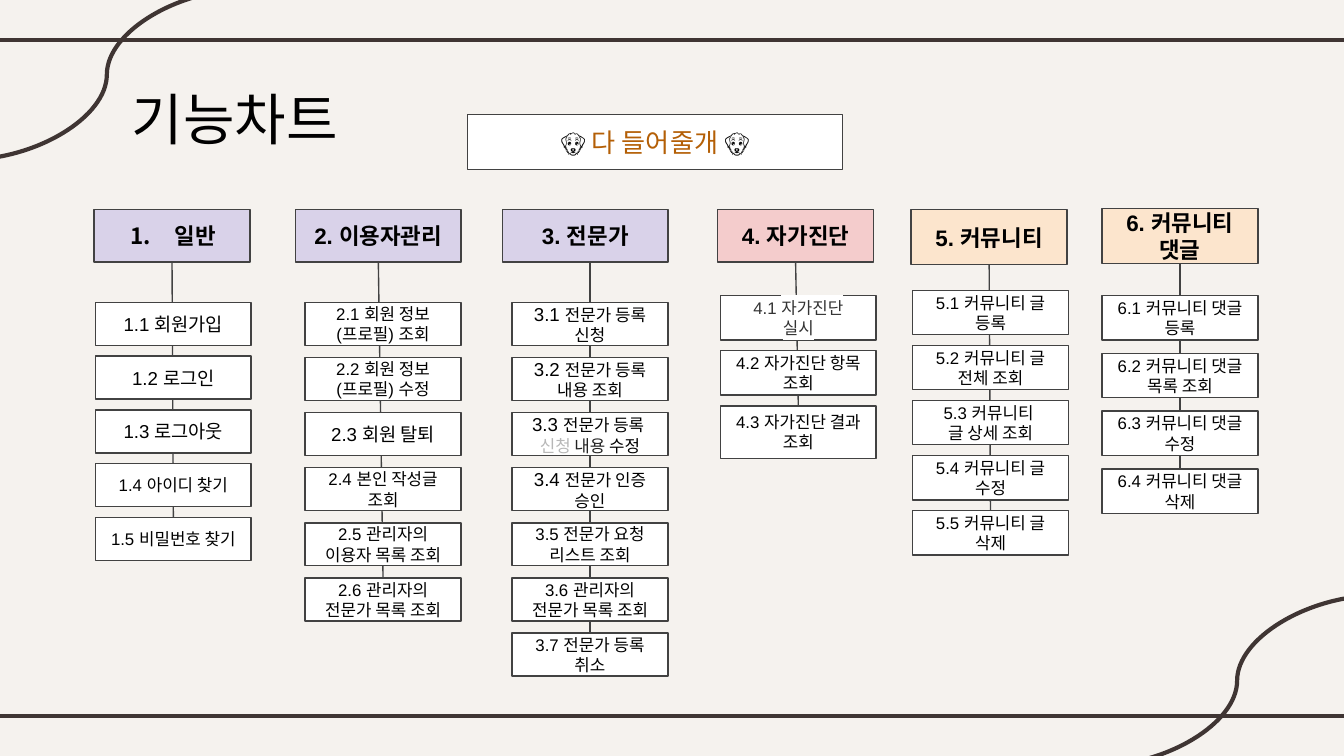
"""Builds the feature chart slide of the service."""
from dataclasses import dataclass

from lxml import etree
from pptx import Presentation
from pptx.dml.color import RGBColor
from pptx.enum.shapes import MSO_CONNECTOR, MSO_SHAPE
from pptx.enum.text import MSO_ANCHOR, PP_ALIGN
from pptx.oxml.ns import qn
from pptx.util import Inches, Pt

STRAIGHT, CURVE = MSO_CONNECTOR.STRAIGHT, MSO_CONNECTOR.CURVE
RECTANGLE = MSO_SHAPE.RECTANGLE
TOP, MIDDLE = MSO_ANCHOR.TOP, MSO_ANCHOR.MIDDLE
CENTER, LEFT = PP_ALIGN.CENTER, PP_ALIGN.LEFT

PAPER, WHITE, BLACK = "F5F2EE", "FFFFFF", "000000"
FRAME, OUTLINE = "3F3533", "424242"
LILAC, PINK, PEACH = "D9D2E9", "F4CCCC", "FCE5CD"
SLIDE_WIDTH = 10
SLIDE_HEIGHT = SLIDE_WIDTH * 9 / 16
BOX_WIDTH = 1.16


@dataclass
class Branch:
    """One heading with the features listed below it."""
    heading: str
    color: str
    heading_box: tuple
    left: float
    top: float
    pitch: float
    features: list
    height: float = 0.32
    last_height: float = 0
    straight_stem: bool = False
    numbered: bool = False


def large(text):
    """Return a one-run label in the larger size."""
    return [[(text, {"size": 10})]]


def led(number, text):
    """Return a label whose number is larger than its text."""
    return [[(number + " ", {"size": 10}), (text, {})]]


BRANCHES = [
    Branch("일반", LILAC, (0.7, 1.56, 1.16, 0.39), 0.71, 2.25, 0.4, [
        large("1.1 회원가입"), large("1.2 로그인"), large("1.3 로그아웃"),
        "1.4 아이디 찾기", "1.5 비밀번호 찾기"], numbered=True),
    Branch("2. 이용자관리", LILAC, (2.2, 1.56, 1.23, 0.39), 2.27, 2.25, 0.41, [
        "2.1 회원 정보 (프로필) 조회", "2.2 회원 정보 (프로필) 수정",
        large("2.3 회원 탈퇴"), "2.4 본인 작성글 조회",
        "2.5 관리자의 이용자 목록 조회", "2.6 관리자의 전문가 목록 조회"]),
    Branch("3. 전문가", LILAC, (3.74, 1.56, 1.23, 0.39), 3.81, 2.25, 0.41, [
        led("3.1", "전문가 등록 신청"), led("3.2", "전문가 등록 내용 조회"),
        led("3.3", "전문가 등록 ") + [[("신청 ", {"color": "B7B7B7"}),
                                  ("내용 ", {"color": "222222"}), ("수정", {})]],
        led("3.4", "전문가 인증 승인"), "3.5 전문가 요청 리스트 조회",
        "3.6 관리자의 전문가 목록 조회", "3.7 전문가 등록 취소"],
        straight_stem=True),
    Branch("4. 자가진단", PINK, (5.34, 1.56, 1.16, 0.39), 5.36, 2.2, 0.41, [
        [[(line, {"color": "333333", "highlight": WHITE})]
         for line in ("4.1 자가진단", "실시")],
        "4.2 자가진단 항목 조회", "4.3 자가진단 결과 조회"],
        height=0.33, last_height=0.39),
    Branch("5. 커뮤니티", PEACH, (6.78, 1.56, 1.16, 0.41), 6.79, 2.16, 0.41, [
        "5.1 커뮤니티 글 등록", "5.2 커뮤니티 글 전체 조회",
        [[("5.3 커뮤니티 ", {}), ("\v", {}), ("글 상세 조회", {})]],
        "5.4 커뮤니티 글 수정", "5.5 커뮤니티 글 삭제"], height=0.33),
    Branch("6. 커뮤니티 댓글", PEACH, (8.2, 1.55, 1.16, 0.41), 8.2, 2.2, 0.43, [
        "6.1 커뮤니티 댓글 등록", "6.2 커뮤니티 댓글 목록 조회",
        "6.3 커뮤니티 댓글 수정", "6.4 커뮤니티 댓글 삭제"], height=0.33),
]


def rgb(value):
    """Return the colour of a hex string."""
    return RGBColor.from_string(value)


def add_number(paragraph):
    """Number a paragraph with a hanging indent."""
    properties = paragraph._p.get_or_add_pPr()
    properties.set("marL", str(Inches(0.5)))
    properties.set("indent", str(Inches(-0.33)))
    etree.SubElement(properties, qn("a:buFont")).set("typeface", "Arial")
    etree.SubElement(properties, qn("a:buAutoNum")).set("type", "arabicPeriod")


def format_run(run, size, color, font, bold, highlight=None):
    """Format one run, with an optional highlight."""
    run.font.size = Pt(size)
    run.font.bold = bold
    run.font.color.rgb = rgb(color)
    if highlight:
        marker = etree.Element(qn("a:highlight"))
        etree.SubElement(marker, qn("a:srgbClr")).set("val", highlight)
        run._r.rPr.find(qn("a:solidFill")).addnext(marker)
    run.font.name = font


def write_text(shape, content, size=9, color=BLACK, font="Arial", bold=False,
               align=CENTER, anchor=MIDDLE, numbered=False):
    """Write a string, or paragraphs of (text, overrides) runs, into a shape."""
    frame = shape.text_frame
    frame.word_wrap = True
    frame.vertical_anchor = anchor
    frame.margin_left = frame.margin_right = Inches(0.1)
    frame.margin_top = frame.margin_bottom = Inches(0.1)
    base = {"size": size, "color": color, "font": font, "bold": bold}
    paragraphs = [[(content, {})]] if isinstance(content, str) else content
    for index, runs in enumerate(paragraphs):
        paragraph = frame.add_paragraph() if index else frame.paragraphs[0]
        paragraph.alignment = align
        if numbered:
            add_number(paragraph)
        for text, overrides in runs:
            if text == "\v":
                paragraph.add_line_break()
                continue
            run = paragraph.add_run()
            run.text = text
            format_run(run, **{**base, **overrides})


def add_line(slide, start, end, color=OUTLINE, width=0.75, kind=STRAIGHT):
    """Draw a connector between two points."""
    line = slide.shapes.add_connector(kind, *map(Inches, (*start, *end)))
    line.line.color.rgb = rgb(color)
    line.line.width = Pt(width)
    etree.SubElement(line._element.spPr, qn("a:effectLst"))


def add_box(slide, place, content, fill=WHITE, **text_format):
    """Draw an outlined rectangle with text."""
    box = slide.shapes.add_shape(RECTANGLE, *map(Inches, place))
    box.shadow.inherit = False
    box.fill.solid()
    box.fill.fore_color.rgb = rgb(fill)
    box.line.color.rgb = rgb(OUTLINE)
    box.line.width = Pt(0.75)
    write_text(box, content, **text_format)


def add_frame(slide):
    """Draw the border lines and the corner curves."""
    for y in (0.3, 5.33):
        add_line(slide, (-0.08, y), (10.08, y), FRAME, 2.25)
    for start, end in (((10.26, 4.43), (8.15, 5.7)), ((1.85, -0.08), (-0.26, 1.19))):
        add_line(slide, start, end, FRAME, 2.25, CURVE)


def add_title(slide, text):
    """Place and fill the title placeholder."""
    title = slide.shapes.title
    title.left, title.top, title.width, title.height = map(
        Inches, (0.88, 0.53, 2.26, 0.63))
    write_text(title, text, size=30, font="Calibri", align=LEFT, anchor=TOP)


def add_branch(slide, branch):
    """Draw a stem, its heading and its features."""
    left, top, width, height = branch.heading_box
    foot_x = branch.left + BOX_WIDTH / 2
    head_x = foot_x if branch.straight_stem else left + width / 2
    last = len(branch.features) - 1
    add_line(slide, (head_x, top + height),
             (foot_x, branch.top + last * branch.pitch))
    add_box(slide, branch.heading_box, branch.heading, branch.color, size=12,
            bold=True, align=LEFT if branch.numbered else CENTER,
            numbered=branch.numbered)
    for row, feature in enumerate(branch.features):
        tall = branch.last_height if row == last else 0
        add_box(slide, (branch.left, branch.top + row * branch.pitch,
                        BOX_WIDTH, tall or branch.height), feature)


def main():
    """Build and save the slide."""
    deck = Presentation()
    deck.slide_width, deck.slide_height = Inches(SLIDE_WIDTH), Inches(SLIDE_HEIGHT)
    slide = deck.slides.add_slide(deck.slide_layouts[5])
    slide.background.fill.solid()
    slide.background.fill.fore_color.rgb = rgb(PAPER)
    add_frame(slide)
    add_title(slide, "기능차트")
    add_box(slide, (3.48, 0.85, 2.79, 0.41),
            [[("🐶 ", {}), ("다 들어줄개", {"color": "B45F06"}), (" 🐶", {})]],
            size=14)
    for branch in BRANCHES:
        add_branch(slide, branch)
    deck.save("out.pptx")


if __name__ == "__main__":
    main()
